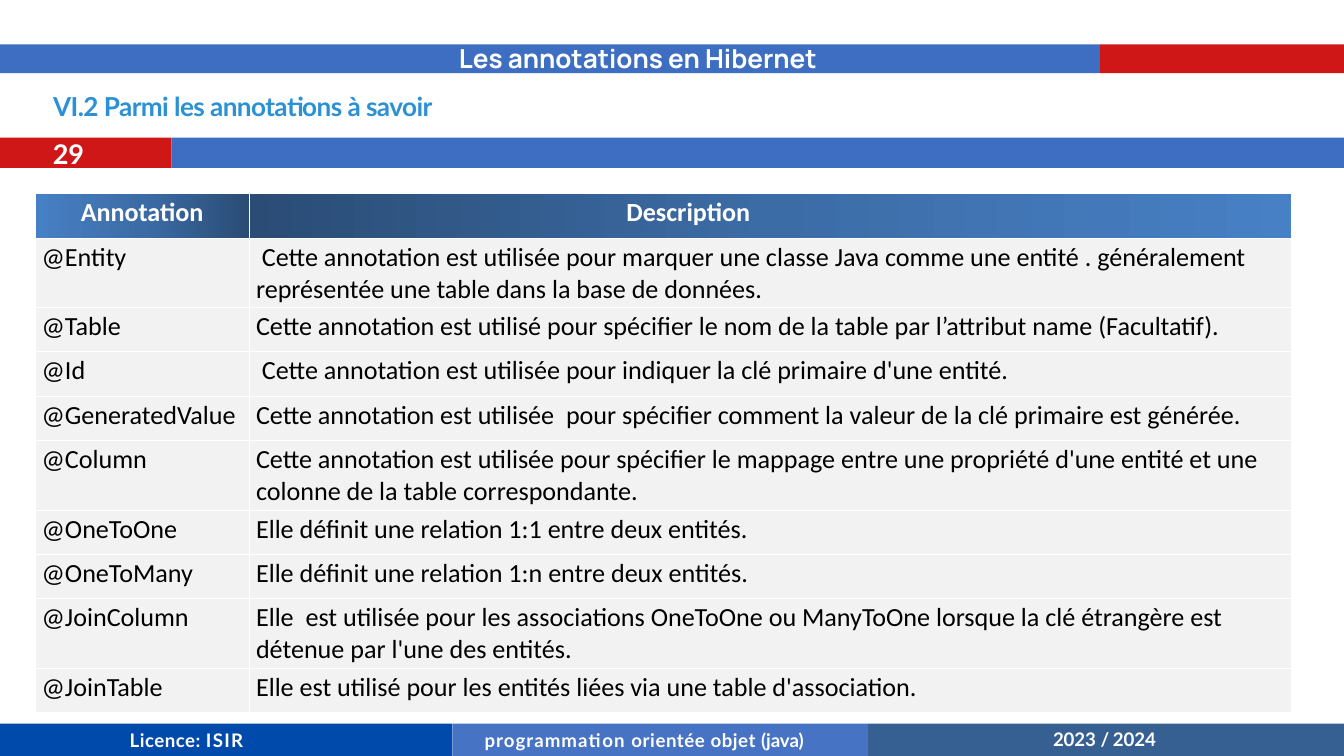
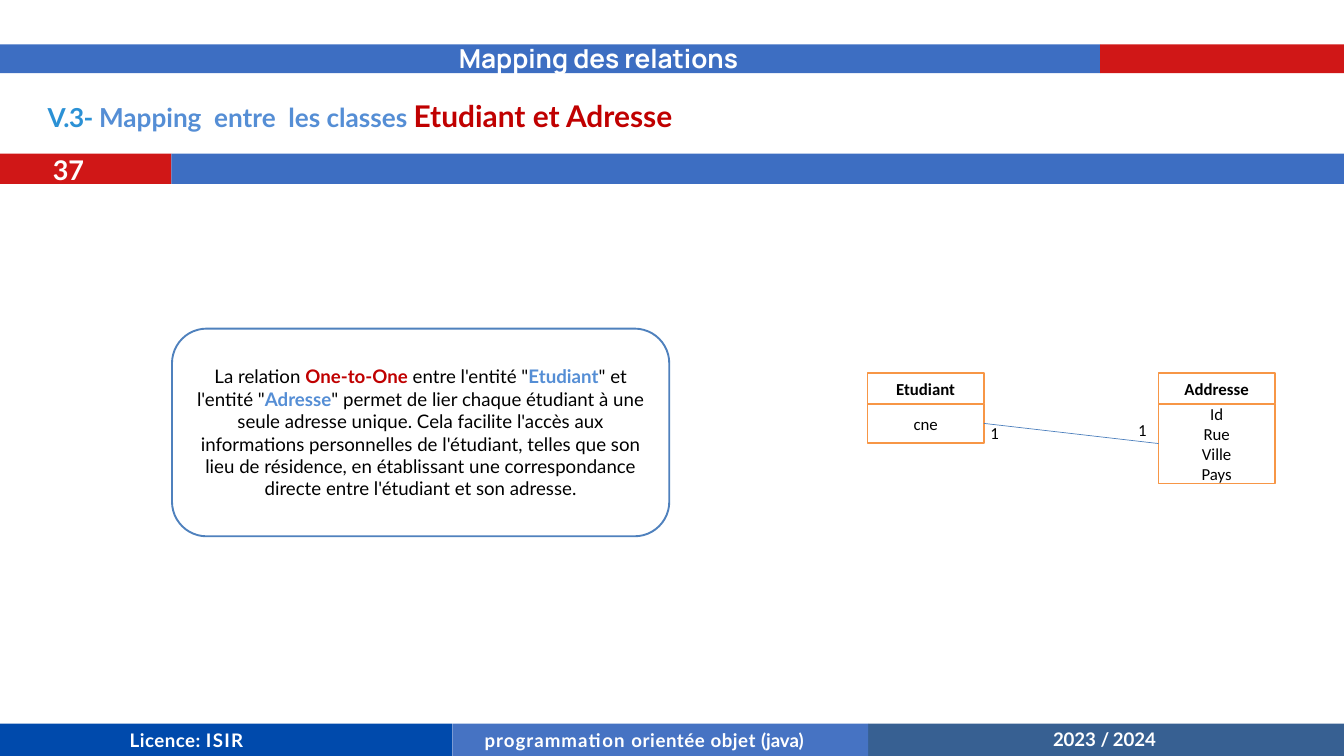
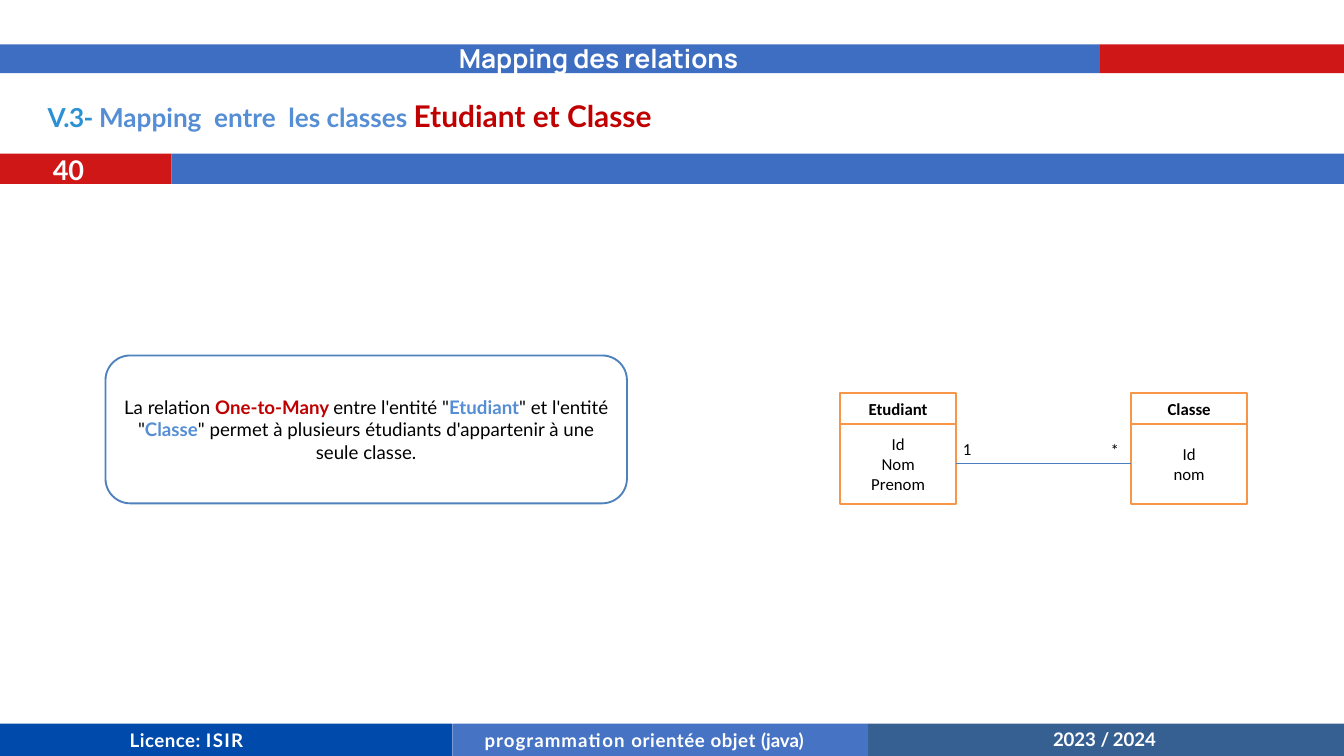
import copy
from dataclasses import dataclass

import pptx
import pptx.dml.color
import pptx.enum.shapes
import pptx.enum.text
import pptx.oxml
import pptx.oxml.ns
import pptx.util

COLORS = {
    "white": "FFFFFF", "black": "000000", "red": "D01717", "band": "3D6EC2",
    "heading": "2B91D5", "term": "558ED5", "accent": "C00000",
    "licence": "004AAC", "course": "4673C3", "year": "376092",
    "class_line": "F79646", "link": "4B7EBC", "note_line": "4F81BD",
    "row": "F2F2F2", "dark": "2A4C75", "mid": "3C6CA6", "light": "4780C5",
}
SHAPES = pptx.enum.shapes.MSO_SHAPE
LEFT = pptx.enum.text.PP_ALIGN.LEFT
CENTER = pptx.enum.text.PP_ALIGN.CENTER
TOP = pptx.enum.text.MSO_ANCHOR.TOP
MIDDLE = pptx.enum.text.MSO_ANCHOR.MIDDLE


def style(name, size, color, bold=False, spc=0):
    return {"name": name, "size": pptx.util.Pt(size), "bold": bold,
            "color": color, "spc": spc}


STYLES = {
    "band": style("Manrope", 28, "white", True),
    "number": style("Lato", 29, "white", True, -0.1),
    "heading": style("Lato", 28, "heading", True, -0.6),
    "subject": style("Lato", 28, "term", True),
    "classes": style("Lato", 32, "accent", True),
    "footer": style("Lato", 20, "white", True),
    "note": style("Lato", 20, "black"),
    "note_relation": style("Lato", 20, "accent", True),
    "note_entity": style("Lato", 20, "term", True),
    "class_name": style("Calibri", 18, "black", True),
    "class_field": style("Calibri", 18, "black"),
    "table_head": style("Calibri", 28, "white", True),
    "table_cell": style("Calibri", 28, "black"),
}


@dataclass
class Box:
    left: float
    top: float
    width: float
    height: float

    def share(self, x, y, w, h):
        return Box(self.left + self.width * x / 100,
                   self.top + self.height * y / 100,
                   self.width * w / 100, self.height * h / 100)

    def emu(self):
        return [pptx.util.Inches(v)
                for v in (self.left, self.top, self.width, self.height)]


SLIDE = Box(0, 0, 20, 11.25)

FOOTER = [
    (0, 33.65, "licence", 9.65, 12.5, [("Licence: ", 0.5), ("ISIR", 1.4)]),
    (64.6, 35.4, "year", 78.35, 10.42,
     [("2023 ", -0.1), ("/ ", -0.9), ("2024", -0.1)]),
    (33.65, 30.95, "course", 36.05, 12.5,
     [("programmation ", 1.1), ("orientée ", 0.6), ("objet ", 0.5),
      ("(", -1.1), ("java)", -0.1)]),
]

ANNOTATIONS = [
    ("@Entity", " Cette annotation est utilisée pour marquer une classe Java comme une entité . généralement  représentée une table dans la base de données."),
    ("@Table", "Cette annotation est utilisé pour spécifier le nom de la table par l’attribut name (Facultatif)."),
    ("@Id", " Cette annotation est utilisée pour indiquer la clé primaire d'une entité."),
    ("@GeneratedValue", "Cette annotation est utilisée  pour spécifier comment la valeur de la clé primaire est générée."),
    ("@Column", "Cette annotation est utilisée pour spécifier le mappage entre une propriété d'une entité et une colonne de la table correspondante."),
    ("@OneToOne", "Elle définit une relation 1:1 entre deux entités."),
    ("@OneToMany", "Elle définit une relation 1:n entre deux entités."),
    ("@JoinColumn", "Elle  est utilisée pour les associations OneToOne ou ManyToOne lorsque la clé étrangère est détenue par l'une des entités."),
    ("@JoinTable", "Elle est utilisé pour les entités liées via une table d'association."),
]

RELATIONS = [
    {
        "number": "37", "classes": "Etudiant et Adresse",
        "note_at": (12.8, 43.47, 37, 27.47),
        "note": [
            ("La relation ", "note"), ("One-to-One", "note_relation"),
            (" entre l'entité \"", "note"), ("Etudiant", "note_entity"),
            ("\" et l'entité \"", "note"), ("Adresse", "note_entity"),
            ("\" permet de lier chaque étudiant à une seule adresse unique. Cela facilite l'accès aux informations personnelles de l'étudiant, telles que son lieu de résidence, en établissant une correspondance directe entre l'étudiant et son adresse.", "note"),
        ],
        "diagram_at": (64.55, 49.38, 30.3, 14.58),
        "entities": [("Etudiant", ["cne"], 35.98),
                     ("Addresse", ["Id", "Rue", "Ville", "Pays"], 72.56)],
        "marks": [("1", 42.07), ("1", 39.02)],
    },
    {
        "number": "40", "classes": "Etudiant et Classe",
        "note_at": (7.85, 47.02, 38.8, 19.56),
        "note": [
            ("La relation ", "note"), ("One-to-Many ", "note_relation"),
            ("entre l'entité \"", "note"), ("Etudiant", "note_entity"),
            ("\" et l'entité \"", "note"), ("Classe", "note_entity"),
            ("\" permet à plusieurs étudiants d'appartenir à une seule classe.", "note"),
        ],
        "diagram_at": (62.5, 52.04, 30.3, 14.58),
        "entities": [("Etudiant", ["Id", "Nom", "Prenom"], 72.56),
                     ("Classe", ["Id", "nom"], 72.56)],
        "marks": [("1", 38.41), ("*", 39.02)],
    },
]


def rgb(name):
    return pptx.dml.color.RGBColor.from_string(COLORS[name])


def add_run(p, text, fmt):
    r = p.add_run()
    r.text = text
    for key, value in fmt.items():
        if key == "color":
            r.font.color.rgb = rgb(value)
        elif key == "spc":
            r._r.get_or_add_rPr().set("spc", str(round(value * 100)))
        else:
            setattr(r.font, key, value)


def write(tf, paragraphs, align=LEFT, **frame):
    for key, value in {"word_wrap": True, **frame}.items():
        setattr(tf, key, value)
    for i, runs in enumerate(paragraphs):
        p = tf.add_paragraph() if i else tf.paragraphs[0]
        p.alignment = align
        for text, fmt in runs:
            add_run(p, text, STYLES[fmt] if isinstance(fmt, str) else fmt)


def tight():
    return {"margin_left": 0, "margin_right": 0, "margin_bottom": 0,
            "margin_top": pptx.util.Inches(0.01)}


def add_text(s, box, runs, align=LEFT, **frame):
    write(s.shapes.add_textbox(*box.emu()).text_frame, [runs], align, **frame)


def add_block(s, box, fill, line=None, kind=SHAPES.RECTANGLE):
    sp = s.shapes.add_shape(kind, *box.emu())
    sp.shadow.inherit = False
    sp.fill.solid()
    sp.fill.fore_color.rgb = rgb(fill)
    if line:
        sp.line.color.rgb = rgb(line)
        sp.line.width = pptx.util.Pt(2)
    else:
        sp.line.fill.background()
    return sp


def header(s, box, text):
    add_block(s, box.share(0, 0, 81.85, 100), "band")
    add_block(s, box.share(81.85, 0, 18.15, 100), "red")
    add_text(s, box.share(33.65, -18.6, 40.6, 132.56), [(text, "band")])


def number_band(s, box, number):
    add_block(s, box.share(0, 0, 12.75, 100), "red")
    add_block(s, box.share(12.75, 0, 87.25, 100), "band")
    add_text(s, box.share(2.35, -11.11, 5.5, 131.11), [(number, "number")], CENTER)


def footer(s, box):
    for x, w, fill, text_x, text_y, words in FOOTER:
        add_block(s, box.share(x, 0, w, 100), fill)
        runs = [(t, {**STYLES["footer"], "spc": spc}) for t, spc in words]
        add_text(s, box.share(text_x, text_y, x + w - text_x, 75), runs, **tight())


def title(s, box, runs):
    sp = s.shapes.title
    sp.left, sp.top, sp.width, sp.height = box.emu()
    write(sp.text_frame, [runs], vertical_anchor=TOP,
          auto_size=pptx.enum.text.MSO_AUTO_SIZE.NONE, **tight())


def new_slide(prs, band_text, heading, heading_at, number, number_top):
    s = prs.slides.add_slide(prs.slide_layouts[5])
    header(s, SLIDE.share(0, 5.87, 100, 3.82), band_text)
    title(s, SLIDE.share(*heading_at), heading)
    number_band(s, SLIDE.share(0, number_top, 100, 4), number)
    footer(s, SLIDE.share(0, 95.73, 100, 4.27))
    return s


def gradient(cell, angle):
    cell.fill.gradient()
    cell.fill.gradient_angle = angle
    stops = cell._tc.tcPr.find(".//" + pptx.oxml.ns.qn("a:gsLst"))
    stops.insert(1, copy.deepcopy(stops[0]))
    for stop, color, place in zip(cell.fill.gradient_stops,
                                  ("dark", "mid", "light"), (0, 0.5, 1)):
        stop.color.rgb = rgb(color)
        stop.position = place


def annotation_table(s, box):
    table = s.shapes.add_table(len(ANNOTATIONS) + 1, 2, *box.emu()).table
    table.horz_banding = False
    for col, share in zip(table.columns, (17.06, 82.94)):
        col.width = pptx.util.Inches(box.width * share / 100)
    table.rows[0].height = pptx.util.Inches(box.height * 8.52 / 100)
    heads = [("Annotation", 180, CENTER), ("Description", 0, LEFT)]
    for cell, (text, angle, align) in zip(table.rows[0].cells, heads):
        gradient(cell, angle)
        write(cell.text_frame, [[(text, "table_head")]], align)
    table.cell(0, 1).margin_left = pptx.util.Inches(box.width * 0.3)
    for i, texts in enumerate(ANNOTATIONS, 1):
        share = 13.03 if len(texts[1]) > 100 else 8.52
        table.rows[i].height = pptx.util.Inches(box.height * share / 100)
        for cell, text in zip(table.rows[i].cells, texts):
            cell.fill.solid()
            cell.fill.fore_color.rgb = rgb("row")
            write(cell.text_frame, [[(text, "table_cell")]])


def entity(s, box, x, name, fields, body_height):
    head = add_block(s, box.share(x, 0, 28.55, 27.44), "white", "class_line")
    write(head.text_frame, [[(name, "class_name")]], CENTER, vertical_anchor=MIDDLE)
    body = add_block(s, box.share(x, 27.44, 28.55, body_height), "white", "class_line")
    write(body.text_frame, [[(f, "class_field")] for f in fields], CENTER,
          vertical_anchor=MIDDLE)
    return body


def class_diagram(s, box, entities, marks):
    start, end = [entity(s, box, x, *e) for x, e in zip((0, 71.45), entities)]
    link = s.shapes.add_connector(pptx.enum.shapes.MSO_CONNECTOR.STRAIGHT, 0, 0, 0, 0)
    link.begin_connect(start, 3)
    link.end_connect(end, 1)
    link.line.color.rgb = rgb("link")
    link.line.width = pptx.util.Pt(0.75)
    link._element.spPr.append(pptx.oxml.parse_xml(
        "<a:effectLst %s/>" % pptx.oxml.ns.nsdecls("a")))
    for x, (mark, y) in zip((28.55, 64.85), marks):
        add_text(s, box.share(x, y, 7.26, 24.39), [(mark, "class_field")])


def note(s, box, runs):
    sp = add_block(s, box, "white", "note_line", SHAPES.ROUNDED_RECTANGLE)
    write(sp.text_frame, [runs], CENTER, vertical_anchor=MIDDLE)


def annotation_slide(prs):
    s = new_slide(prs, "Les annotations en Hibernet",
                  [("VI.2 Parmi les annotations à savoir", "heading")],
                  (3.95, 11.82, 95.4, 4.27), "29", 18.22)
    annotation_table(s, SLIDE.share(2.6, 25.6, 93.5, 68.89))


def relation_slide(prs, relation):
    heading = [("V.3- ", "heading"), ("Mapping  entre  les classes ", "subject"),
               (relation["classes"], "classes")]
    s = new_slide(prs, "Mapping des relations", heading,
                  (3.55, 12.89, 95.4, 4.89), relation["number"], 20.33)
    note(s, SLIDE.share(*relation["note_at"]), relation["note"])
    class_diagram(s, SLIDE.share(*relation["diagram_at"]),
                  relation["entities"], relation["marks"])


def main():
    prs = pptx.Presentation()
    prs.slide_width = pptx.util.Inches(SLIDE.width)
    prs.slide_height = pptx.util.Inches(SLIDE.height)
    annotation_slide(prs)
    for relation in RELATIONS:
        relation_slide(prs, relation)
    prs.save("out.pptx")


if __name__ == "__main__":
    main()
